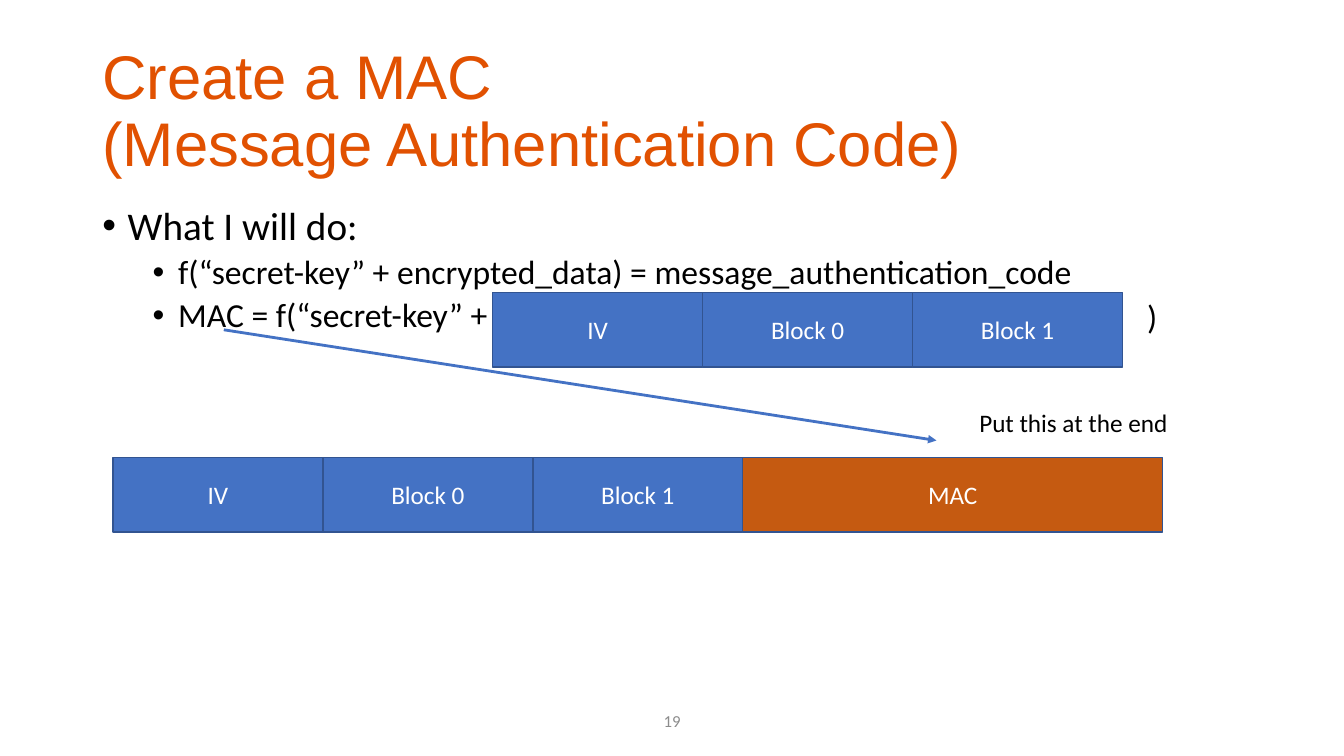
from dataclasses import dataclass

from lxml import etree
from pptx import Presentation
from pptx.dml.color import RGBColor
from pptx.enum.shapes import MSO_CONNECTOR, MSO_SHAPE
from pptx.enum.text import MSO_ANCHOR, PP_ALIGN
from pptx.oxml.ns import qn
from pptx.util import Cm, Pt

RECTANGLE = MSO_SHAPE.RECTANGLE
STRAIGHT = MSO_CONNECTOR.STRAIGHT
TOP, MIDDLE = MSO_ANCHOR.TOP, MSO_ANCHOR.MIDDLE
LEFT, CENTER = PP_ALIGN.LEFT, PP_ALIGN.CENTER

TITLE = "Create a MAC\v(Message Authentication Code)"
BULLETS = [  # (level, text)
    (0, "What I will do:"),
    (1, "f(“secret-key” + encrypted_data) = message_authentication_code"),
    (1, "MAC = f(“secret-key” +"),
]
CLOSING_BRACKET = ")"
ARROW_NOTE = "Put this at the end"
PAGE_NUMBER = "19"

MESSAGE = [("IV", 1, "block"), ("Block 0", 1, "block"), ("Block 1", 1, "block")]
ROWS = [  # (left cm, top cm, [(label, width in blocks, fill)])
    (2.85, 11.53, MESSAGE + [("MAC", 2, "mac")]),
    (12.42, 7.37, MESSAGE),
]
BLOCK_WIDTH, BLOCK_HEIGHT = 5.29, 1.88
ARROW = (5.64, 8.31, 23.6, 11.1)


@dataclass(frozen=True)
class Theme:
    title_font: str = "Arial"
    body_font: str = "Calibri"
    title: str = "E15101"
    text: str = "000000"
    muted: str = "8C8C8C"
    light: str = "FFFFFF"
    block: str = "4472C4"
    mac: str = "C55A11"
    outline: str = "325491"
    title_size: int = 44
    bullet_sizes: tuple = (28, 24)
    label_size: int = 18
    page_size: int = 12
    line_spacing: float = 0.9


THEME = Theme()


def color(value):
    return RGBColor.from_string(value)


def style(para, size, ink, font=THEME.body_font, align=LEFT):
    para.alignment = align
    for span in para.runs:
        span.font.size = Pt(size)
        span.font.name = font
        span.font.color.rgb = color(ink)


def add_text(page, place, text, size, ink, font=THEME.body_font,
             align=LEFT, anchor=TOP, wrap=True):
    box = page.shapes.add_textbox(*map(Cm, place))
    frame = box.text_frame
    frame.word_wrap = wrap
    frame.vertical_anchor = anchor
    frame.text = text
    style(frame.paragraphs[0], size, ink, font, align)
    return frame


def add_bullets(page, place, bullets):
    frame = page.shapes.add_textbox(*map(Cm, place)).text_frame
    frame.word_wrap = True
    for index, (level, text) in enumerate(bullets):
        para = frame.paragraphs[0] if index == 0 else frame.add_paragraph()
        para.text = text
        para.level = level
        para.line_spacing = THEME.line_spacing
        para.space_before = Pt(5 if level else 10)
        style(para, THEME.bullet_sizes[level], THEME.text)
        properties = para._p.get_or_add_pPr()
        properties.set("marL", str(Cm(0.64 + 1.27 * level)))
        properties.set("indent", str(Cm(-0.64)))
        etree.SubElement(properties, qn("a:buFont")).set("typeface", "Arial")
        etree.SubElement(properties, qn("a:buChar")).set("char", "•")


def add_row(page, left, top, blocks):
    for label, span_count, fill in blocks:
        width = span_count * BLOCK_WIDTH
        box = page.shapes.add_shape(
            RECTANGLE, Cm(left), Cm(top), Cm(width), Cm(BLOCK_HEIGHT))
        box.shadow.inherit = False
        box.fill.solid()
        box.fill.fore_color.rgb = color(getattr(THEME, fill))
        box.line.color.rgb = color(THEME.outline)
        box.line.width = Pt(1)
        box.text_frame.vertical_anchor = MIDDLE
        box.text_frame.text = label
        style(box.text_frame.paragraphs[0], THEME.label_size, THEME.light, align=CENTER)
        left += width


def add_arrow(page, ends):
    arrow = page.shapes.add_connector(STRAIGHT, *map(Cm, ends))
    arrow.line.color.rgb = color(THEME.block)
    arrow.line.width = Pt(2)
    etree.SubElement(arrow.line._get_or_add_ln(), qn("a:tailEnd")).set("type", "triangle")
    etree.SubElement(arrow._element.spPr, qn("a:effectLst"))


def main():
    deck = Presentation()
    deck.slide_width, deck.slide_height = Cm(33.87), Cm(19.05)
    page = deck.slides.add_slide(deck.slide_layouts[6])

    title = add_text(page, (2.33, 1.01, 29.21, 3.68), TITLE, THEME.title_size,
                     THEME.title, THEME.title_font, anchor=MIDDLE)
    title.paragraphs[0].line_spacing = THEME.line_spacing

    add_bullets(page, (2.33, 5.07, 29.21, 12.09), BULLETS)
    bracket = add_text(page, (28.91, 7.57, 0.5, 1), CLOSING_BRACKET,
                       THEME.bullet_sizes[1], THEME.text)
    bracket.margin_left = bracket.margin_right = bracket.margin_top = 0
    bracket.paragraphs[0].line_spacing = THEME.line_spacing

    add_text(page, (13.13, 17.66, 7.62, 1.01), PAGE_NUMBER, THEME.page_size,
             THEME.muted, align=CENTER, anchor=MIDDLE)
    for left, top, blocks in ROWS:
        add_row(page, left, top, blocks)
    add_arrow(page, ARROW)
    add_text(page, (24.43, 10.13, 5.31, 1.03), ARROW_NOTE, THEME.label_size,
             THEME.text, wrap=False)

    deck.save("out.pptx")


if __name__ == "__main__":
    main()
